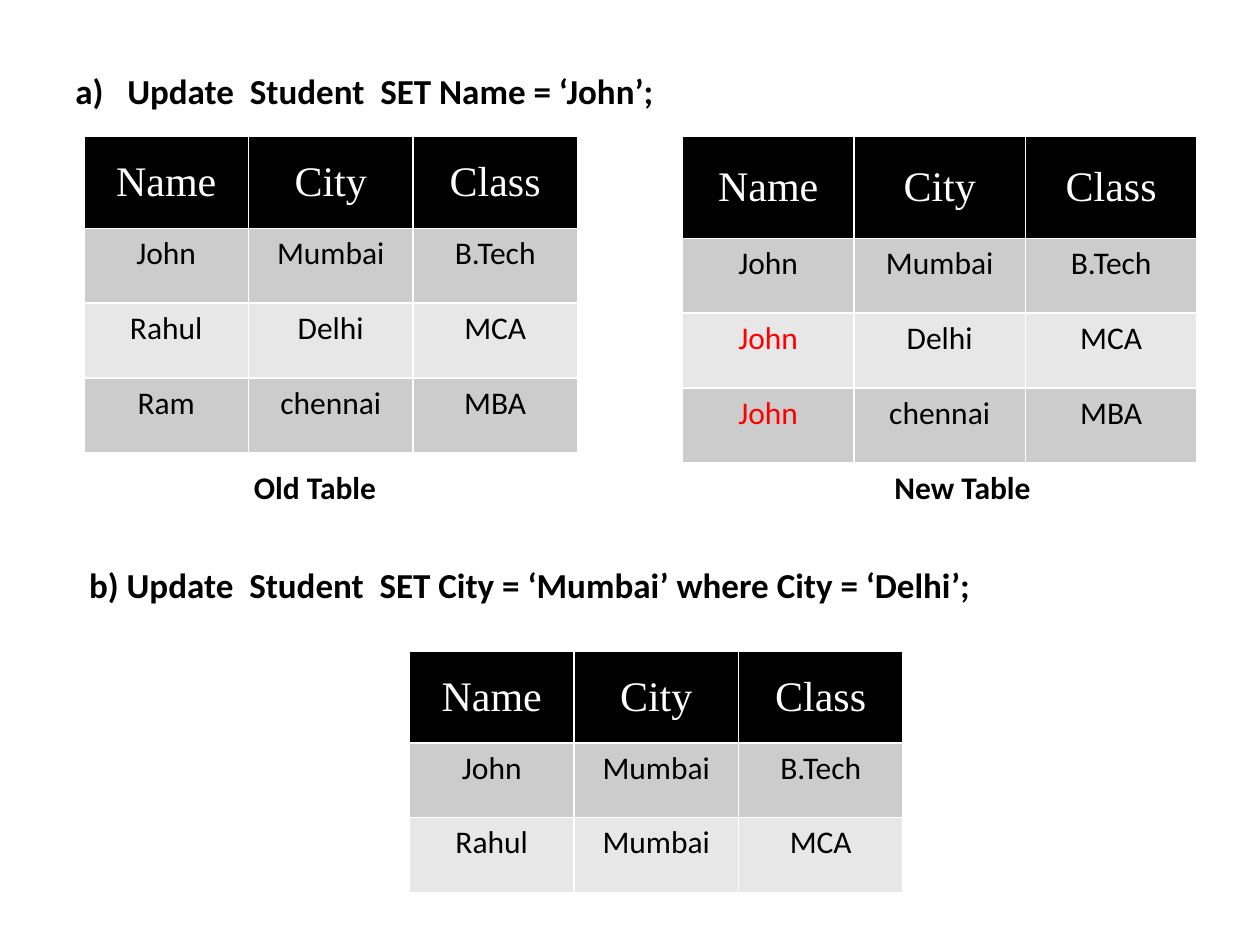
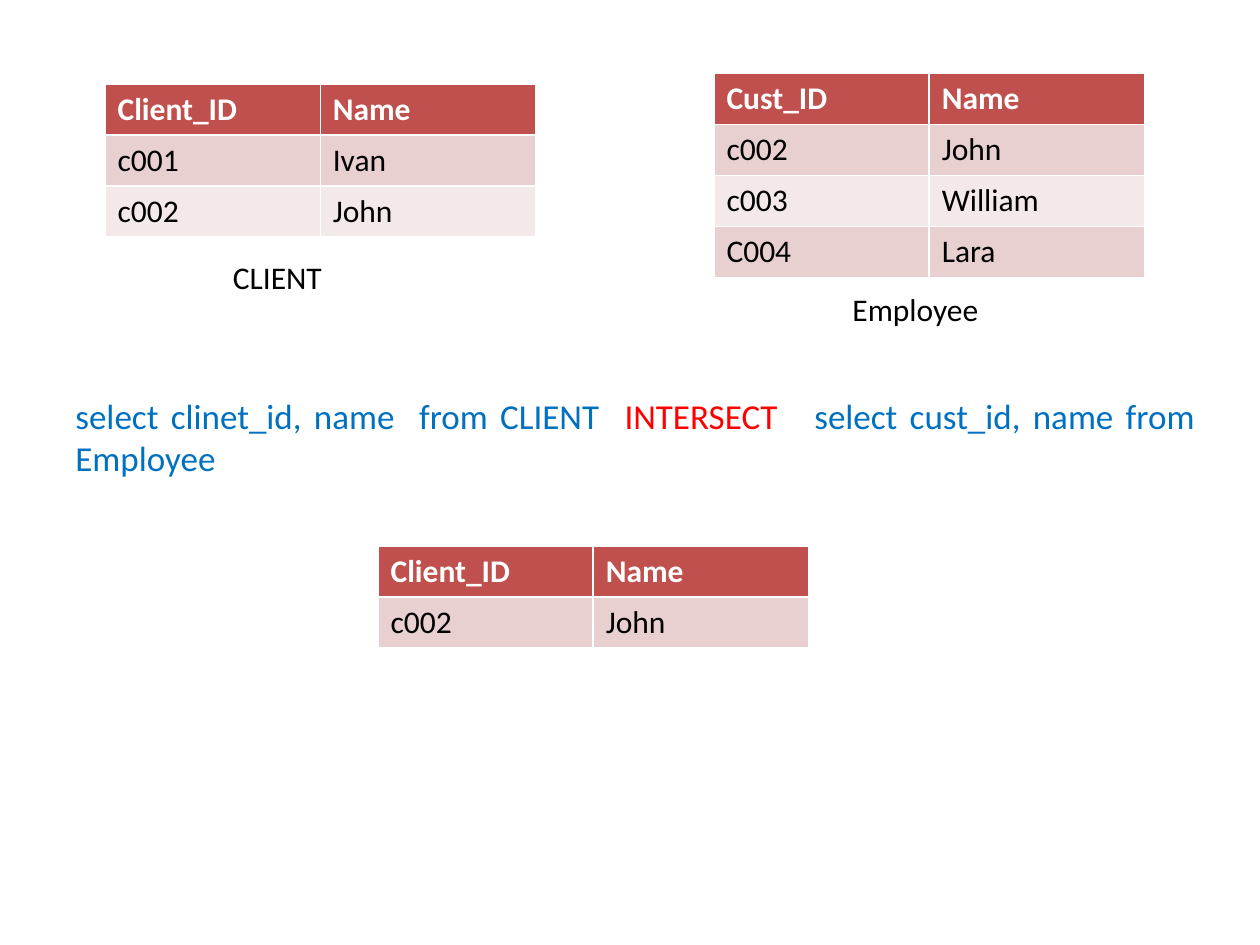
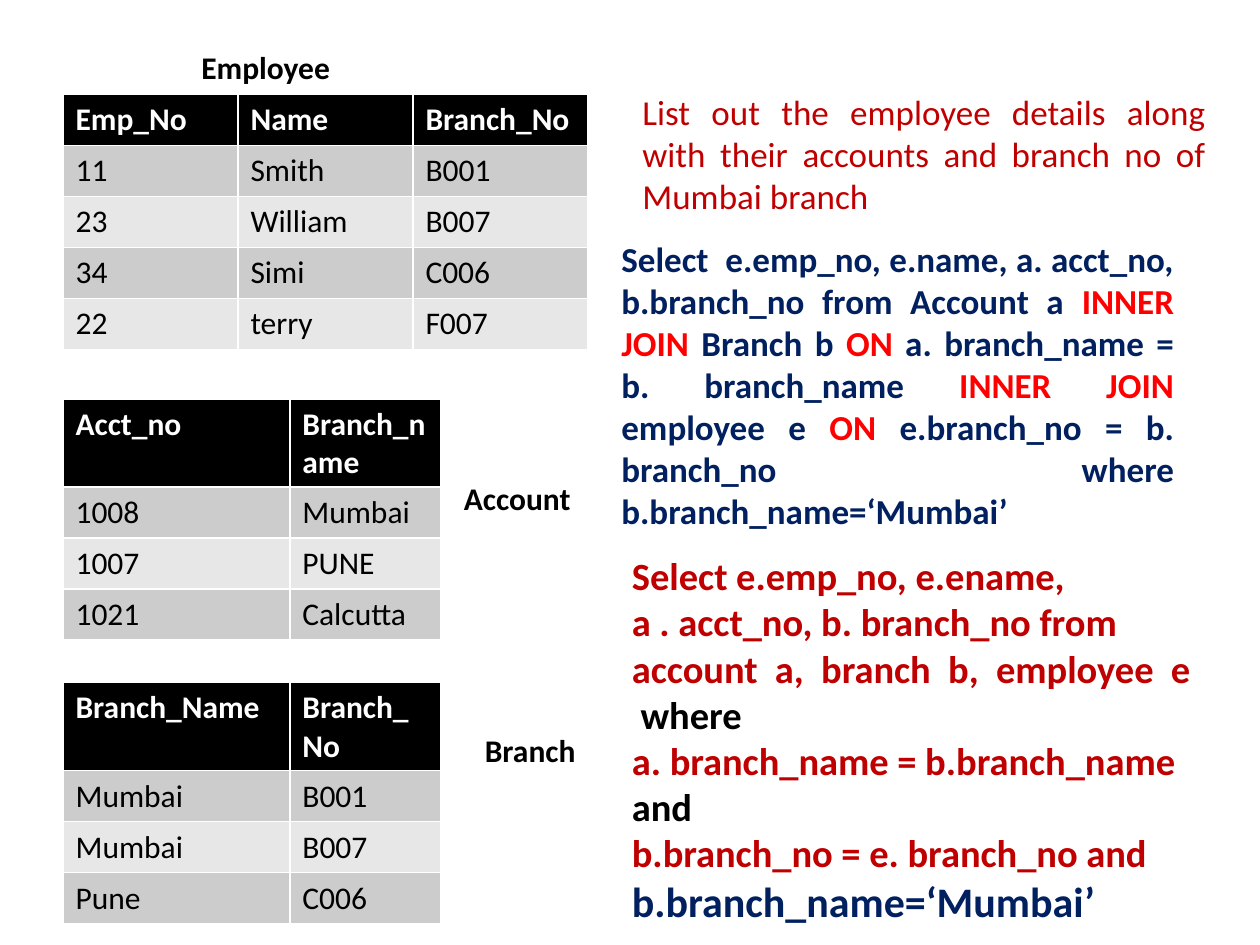
from pptx import Presentation
from pptx.dml.color import RGBColor
from pptx.enum.text import MSO_ANCHOR as Anchor, PP_ALIGN as Align
from pptx.util import Inches, Pt

rgb = RGBColor.from_string
UNIT = Inches(1) / 12
BLACK, WHITE, RED = "000000", "FFFFFF", "FF0000"
CRIMSON, NAVY, BLUE = "C00000", "002060", "0070C0"
GREY_BANDS = (BLACK, "CCCCCC", "E7E7E7")
ROSE_BANDS = ("C0504D", "E8D0D0", "F4E9E9")
BODY = {"name": "Calibri", "size": Pt(18), "bold": False}
STRONG = {**BODY, "bold": True}
QUERY = {**BODY, "size": Pt(20)}
STRONG_QUERY = {**QUERY, "bold": True}
LARGE_QUERY = {**STRONG, "size": Pt(22)}
SERIF_HEAD = {**BODY, "name": "Times New Roman", "size": Pt(24)}
LINE_ROW, WRAPPED_ROW, TALL_ROW = 4.86, 8.2, 7.12


def write(frame, paragraphs, style, align=Align.LEFT):
    for index, runs in enumerate(paragraphs):
        paragraph = frame.paragraphs[0] if index == 0 else frame.add_paragraph()
        paragraph.alignment = align
        for text, colour, *changes in runs:
            run = paragraph.add_run()
            run.text = text
            run.font.color.rgb = rgb(colour)
            for name, value in {**style, **dict(changes)}.items():
                setattr(run.font, name, value)


def add_table(slide, left, top, widths, head_height, row_height, rows, bands,
              head_style=STRONG, align=Align.LEFT, head_anchor=Anchor.TOP):
    heights = [head_height] + [row_height] * (len(rows) - 1)
    box = [round(UNIT * value) for value in (left, top, sum(widths), sum(heights))]
    table = slide.shapes.add_table(len(rows), len(widths), *box).table
    for column, width in zip(table.columns, widths):
        column.width = round(UNIT * width)
    for index, (row, height, texts) in enumerate(zip(table.rows, heights, rows)):
        row.height = round(UNIT * height)
        is_head = index == 0
        for cell, text in zip(row.cells, texts):
            cell.fill.solid()
            cell.fill.fore_color.rgb = rgb(bands[0] if is_head else bands[2 - index % 2])
            cell.vertical_anchor = head_anchor if is_head else Anchor.TOP
            write(cell.text_frame, [[(text, WHITE if is_head else BLACK)]],
                  head_style if is_head else BODY, align)
    return table


presentation = Presentation()
presentation.slide_width = Inches(10)
presentation.slide_height = Inches(7.5)
blank = presentation.slide_layouts[6]
update_slide, intersect_slide, join_slide = [
    presentation.slides.add_slide(blank) for _ in range(3)]

student_head = ("Name", "City", "Class")
student_format = {"bands": GREY_BANDS, "head_style": SERIF_HEAD,
                  "align": Align.CENTER, "head_anchor": Anchor.MIDDLE}
old_rows = [student_head, ("John", "Mumbai", "B.Tech"),
            ("Rahul", "Delhi", "MCA"), ("Ram", "chennai", "MBA")]
new_rows = [student_head] + [("John", *row[1:]) for row in old_rows[1:]]
city_rows = old_rows[:2] + [("Rahul", "Mumbai", "MCA")]
add_table(update_slide, 8, 13, [47 / 3] * 3, 8.75, TALL_ROW, old_rows, **student_format)
new_table = add_table(update_slide, 65, 13, [49 / 3] * 3, 9.7, TALL_ROW,
                      new_rows, **student_format)
for row in (2, 3):
    changed_name = new_table.cell(row, 0).text_frame.paragraphs[0].runs[0]
    changed_name.font.color.rgb = rgb(RED)
add_table(update_slide, 39, 62, [47 / 3] * 3, 8.75, TALL_ROW, city_rows, **student_format)

pair = [20.5] * 2
client_rows = [("Client_ID", "Name"), ("c001", "Ivan"), ("c002", "John")]
customer_rows = [("Cust_ID", "Name"), ("c002", "John"), ("c003", "William"), ("C004", "Lara")]
common_rows = [client_rows[0], client_rows[2]]
for left, top, rows in [(10, 8, client_rows), (68, 7, customer_rows), (36, 52, common_rows)]:
    add_table(intersect_slide, left, top, pair, LINE_ROW, LINE_ROW, rows, ROSE_BANDS)

employee_rows = [("Emp_No", "Name", "Branch_No"), ("11", "Smith", "B001"),
                 ("23", "William", "B007"), ("34", "Simi", "C006"), ("22", "terry", "F007")]
account_rows = [("Acct_no", "Branch_name"), ("1008", "Mumbai"),
                ("1007", "PUNE"), ("1021", "Calcutta")]
branch_rows = [("Branch_Name", "Branch_No"), ("Mumbai", "B001"),
               ("Mumbai", "B007"), ("Pune", "C006")]
for top, widths, head_height, rows in [
        (9, [50 / 3] * 3, LINE_ROW, employee_rows),
        (38, [21.6, 14.4], WRAPPED_ROW, account_rows),
        (65, [21.6, 14.4], WRAPPED_ROW, branch_rows)]:
    add_table(join_slide, 6, top, widths, head_height, LINE_ROW, rows, GREY_BANDS)

intersect_query = [[
    ("select clinet_id, name  from CLIENT  ", BLUE), ("INTERSECT", RED),
    ("   select cust_id, name from Employee", BLUE)]]
inner_join_query = [[
    ("Select  e.emp_no, e.name, a. acct_no, b.branch_no from Account a ", NAVY),
    ("INNER JOIN", RED), (" Branch b ", NAVY), ("ON", RED),
    (" a. branch_name = b. branch_name ", NAVY), ("INNER JOIN ", RED),
    ("employee e ", NAVY), ("ON ", RED),
    ("e.branch_no = b. branch_no   where b.branch_name=‘Mumbai’", NAVY)]]
where_query = [
    [("Select e.emp_no, e.ename,", CRIMSON)],
    [("a . acct_no, b. branch_no from account  a,  branch  b,  employee  e   ", CRIMSON),
     ("where", BLACK)],
    [("a. branch_name = b.branch_name   ", CRIMSON), ("and", BLACK)],
    [("b.branch_no = e. branch_no and ", CRIMSON),
     ("b.branch_name=‘Mumbai’", NAVY, ("size", Pt(24)))]]
question = [[("List out the employee details along with their accounts "
              "and branch no of Mumbai branch", CRIMSON)]]
name_update = [[("a)   Update  Student  SET Name = ‘John’;", BLACK)]]
city_update = [[("b) Update  Student  SET City = ‘Mumbai’ where City = ‘Delhi’;", BLACK)]]

for slide, left, top, width, height, paragraphs, style, align in [
        (update_slide, 6, 6, 108, 5, name_update, STRONG_QUERY, Align.LEFT),
        (update_slide, 23, 44, 18, 4.8, [[("Old Table", BLACK)]], STRONG, Align.LEFT),
        (update_slide, 84, 44, 18, 4.8, [[("New Table", BLACK)]], STRONG, Align.LEFT),
        (update_slide, 7.3, 53.1, 106, 5, city_update, STRONG_QUERY, Align.LEFT),
        (intersect_slide, 21, 24, 22, 4.8, [[("CLIENT", BLACK)]], BODY, Align.LEFT),
        (intersect_slide, 80, 27, 22, 4.8, [[("Employee", BLACK)]], BODY, Align.LEFT),
        (intersect_slide, 6, 37, 109, 9.2, intersect_query, QUERY, Align.JUSTIFY),
        (join_slide, 18, 4, 24, 4.8, [[("Employee", BLACK)]], STRONG, Align.LEFT),
        (join_slide, 43, 45, 14, 4.8, [[("Account", BLACK)]], STRONG, Align.LEFT),
        (join_slide, 45, 69, 12, 4.8, [[("Branch", BLACK)]], STRONG, Align.LEFT),
        (join_slide, 60, 8, 56, 13.3, question, QUERY, Align.JUSTIFY),
        (join_slide, 58, 22, 55, 33, inner_join_query, STRONG_QUERY, Align.JUSTIFY),
        (join_slide, 59, 52, 57, 37, where_query, LARGE_QUERY, Align.LEFT)]:
    box = [round(UNIT * value) for value in (left, top, width, height)]
    frame = slide.shapes.add_textbox(*box).text_frame
    frame.word_wrap = True
    write(frame, paragraphs, style, align)

presentation.save("out.pptx")
